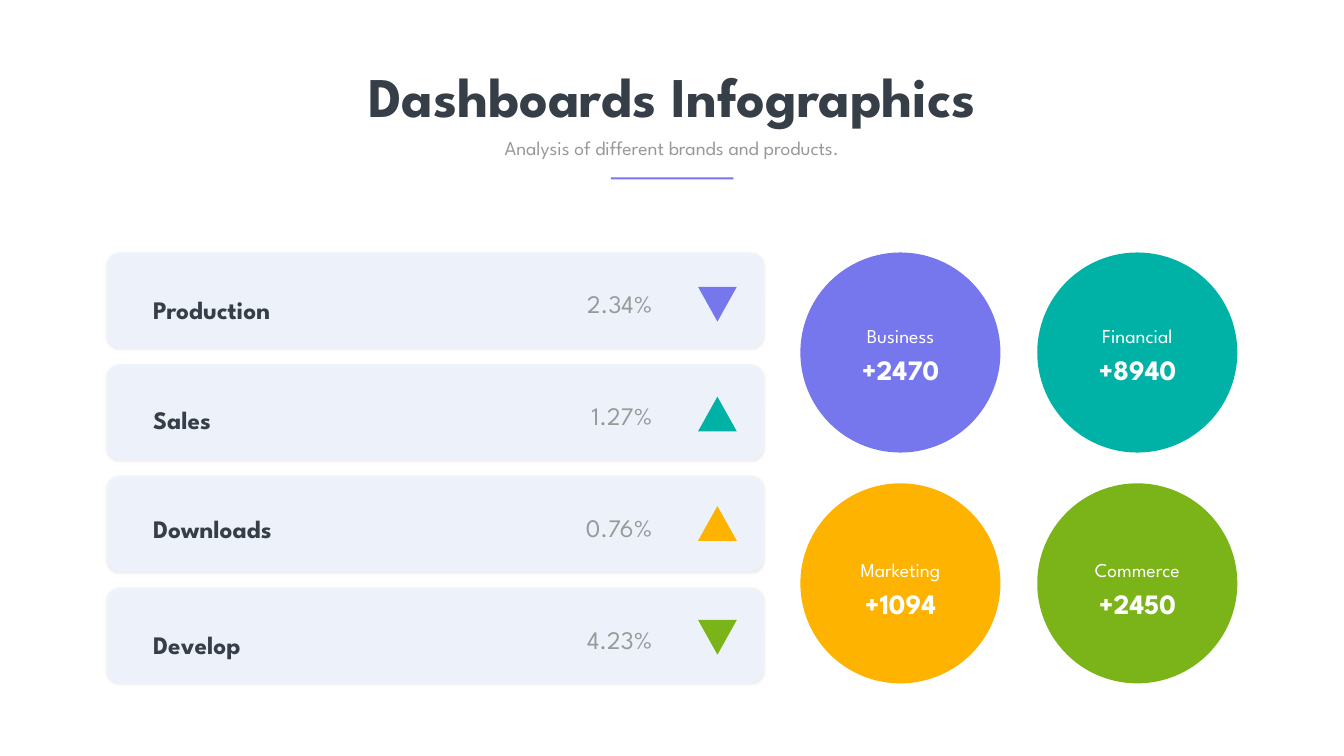
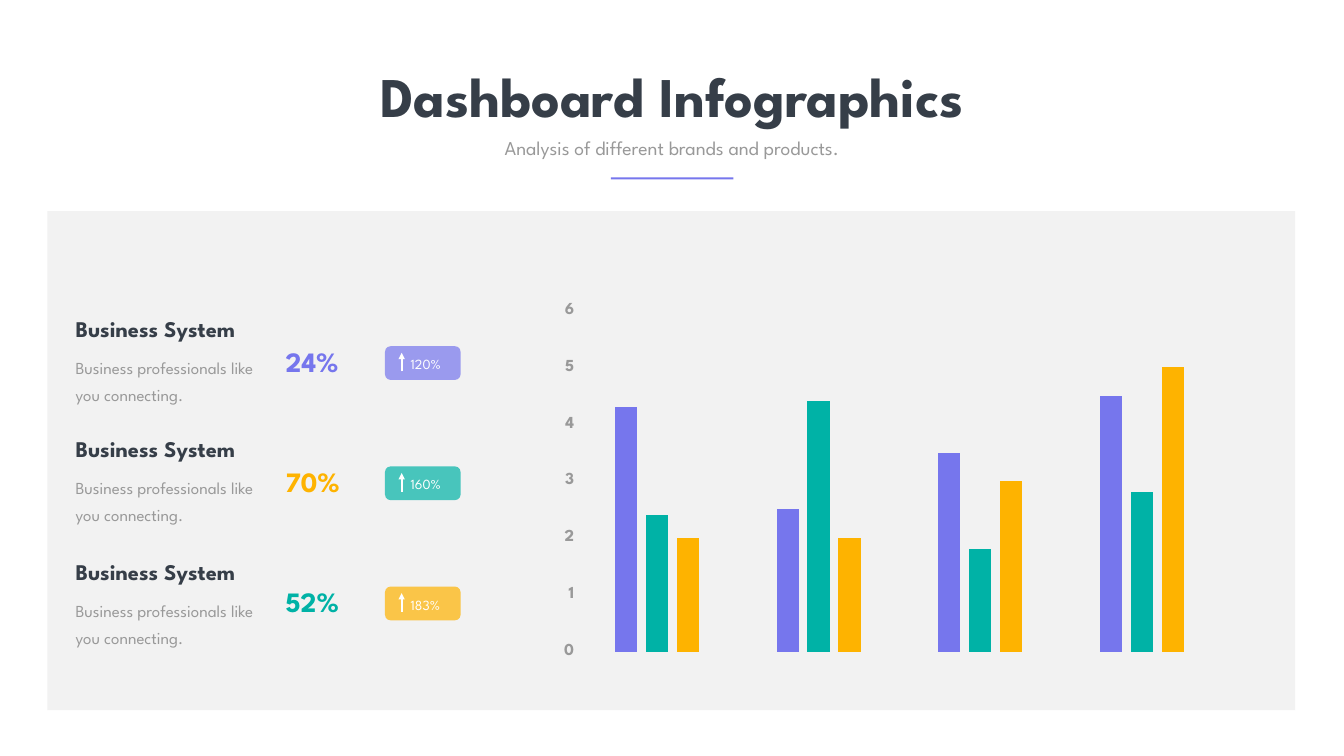
"""Build two dashboard infographic slides: a metric list with circles, and a column chart panel."""
from lxml import etree
from pptx import Presentation
from pptx.chart.data import CategoryChartData
from pptx.dml.color import RGBColor
from pptx.enum import chart as ch, dml, shapes, text
from pptx.oxml import parse_xml
from pptx.oxml.ns import qn, nsdecls
from pptx.util import Pt

FONT = "League Spartan"
DARK, GREY, WHITE = "363E48", "999999", "FFFFFF"
VIOLET, TEAL, AMBER, GREEN = "7676ED", "00B2A6", "FEB300", "7AB418"
CARD, PANEL = "EEF4FF", "F2F2F2"
LEFT, CENTER, RIGHT = text.PP_ALIGN.LEFT, text.PP_ALIGN.CENTER, text.PP_ALIGN.RIGHT
SHAPE = shapes.MSO_SHAPE

SUBTITLE = "Analysis of different brands and products."

# name, change, triangle colour, rotation, name top, triangle top
METRICS = [
    ("Production", "2.34%", VIOLET, 180, 394.6, 409.7),
    ("Sales", "1.27%", TEAL, 0, 553, 566.6),
    ("Downloads", "0.76%", AMBER, 0, 708.5, 722.9),
    ("Develop", "4.23%", GREEN, 180, 874, 885.6),
]
CIRCLES = [
    [("Business", "+2470", VIOLET), ("Financial", "+8940", TEAL)],
    [("Marketing", "+1094", AMBER), ("Commerce", "+2450", GREEN)],
]

SYSTEM_NAME = "Business System"
SYSTEM_NOTE = "Business professionals like you connecting."
# share, share colour, growth, badge colour, heading top
SYSTEMS = [
    ("24%", VIOLET, "120%", VIOLET, 447.1),
    ("70%", AMBER, "160%", TEAL, 617.8),
    ("52%", TEAL, "183%", AMBER, 794.2),
]
CATEGORIES = ["1", "2", "3", "4"]
SERIES = [
    ("Series 1", (4.3, 2.5, 3.5, 4.5), VIOLET),
    ("Series 2", (2.4, 4.4, 1.8, 2.8), TEAL),
    ("Series 3", (2, 2, 3, 5), AMBER),
]
PLOT_AREA = {"x": 0.071, "y": 0.149, "w": 0.882, "h": 0.673}


def rgb(color):
    """Turn a hex string into a colour."""
    return RGBColor.from_string(color)


def style_font(font, size, color, bold=False, name=FONT):
    """Set the face, size, colour and weight of a font."""
    font.name, font.size, font.bold = name, Pt(size), bold
    font.color.rgb = rgb(color)


def add_text(slide, box, words, size, color, bold=False, align=LEFT, spacing=None, wrap=True):
    """Add a one-run text box that grows with its text."""
    frame = slide.shapes.add_textbox(*map(Pt, box)).text_frame
    frame.word_wrap = wrap
    frame.auto_size = text.MSO_AUTO_SIZE.SHAPE_TO_FIT_TEXT
    paragraph = frame.paragraphs[0]
    paragraph.alignment = align
    if spacing:
        paragraph.line_spacing = spacing
    run = paragraph.add_run()
    run.text = words
    style_font(run.font, size, color, bold)


def add_block(slide, kind, box, color, opacity=100):
    """Add a filled shape without outline or shadow."""
    block = slide.shapes.add_shape(kind, *map(Pt, box))
    block.shadow.inherit = False
    block.fill.solid()
    block.fill.fore_color.rgb = rgb(color)
    block.line.fill.background()
    if opacity < 100:
        fill_color = block._element.spPr.find(".//" + qn("a:srgbClr"))
        etree.SubElement(fill_color, qn("a:alpha"), val=str(opacity * 1000))
    return block


def add_soft_shadow(block):
    """Give a shape a faint shadow below it."""
    block._element.spPr.find(qn("a:effectLst")).append(parse_xml(
        f'<a:outerShdw {nsdecls("a")} blurRad="{Pt(4)}" dist="{Pt(1)}" dir="5400000" algn="ctr" '
        'rotWithShape="0"><a:srgbClr val="000104"><a:alpha val="10000"/></a:srgbClr></a:outerShdw>'))


def add_up_arrow(slide, x, bottom, top):
    """Add a white arrow that points up."""
    arrow = slide.shapes.add_connector(shapes.MSO_CONNECTOR.STRAIGHT, *map(Pt, (x, bottom, x, top)))
    arrow.line.color.rgb = rgb(WHITE)
    arrow.line.width = Pt(3)
    etree.SubElement(arrow.line._get_or_add_ln(), qn("a:tailEnd"), type="triangle")
    etree.SubElement(arrow._element.spPr, qn("a:effectLst"))


def add_header(slide, title):
    """Add the title, subtitle and accent rule."""
    add_text(slide, (464, 84.2, 992, 104.4), title, 80, DARK, True, CENTER, wrap=False)
    add_text(slide, (615.6, 190.8, 688.3, 41), SUBTITLE, 28, GREY, align=CENTER)
    add_block(slide, SHAPE.RECTANGLE, (872.6, 253.4, 175, 3), VIOLET)


def add_metric_list(slide):
    """Add one card per metric with its change and direction."""
    for row, (name, change, color, rotation, name_top, triangle_top) in enumerate(METRICS):
        card_top = 360.7 + row * 159.6
        card = add_block(slide, SHAPE.ROUNDED_RECTANGLE, (152.6, card_top, 938.2, 136.8), CARD, 80)
        card.adjustments[0] = 0.146
        add_soft_shadow(card)
        add_text(slide, (632.2, card_top + 48.2, 306.7, 51), change, 36, GREY, align=RIGHT)
        triangle = add_block(slide, SHAPE.ISOSCELES_TRIANGLE, (997.2, triangle_top, 55.4, 49.7), color)
        triangle.rotation = rotation
        add_text(slide, (211.7, name_top, 259.2, 64), name, 36, DARK, True, spacing=1.5)


def add_circles(slide):
    """Add the grid of circles with a label and a value in each."""
    for row, circles in enumerate(CIRCLES):
        for column, (label, value, color) in enumerate(circles):
            left, label_top = 1143.4 + column * 338.4, 452.2 + row * 334.5
            add_block(slide, SHAPE.OVAL, (left, 360.7 + row * 329.8, 285.8, 285.8), color)
            add_text(slide, (left + 59, label_top, 168, 44.6), label, 28, WHITE,
                     align=CENTER, spacing=Pt(40.8))
            add_text(slide, (left + 59, label_top + 47.4, 168, 55.4), value, 40, WHITE, True, CENTER)


def add_systems(slide):
    """Add the rows with heading, note, share and growth badge."""
    for row, (share, share_color, growth, badge_color, heading_top) in enumerate(SYSTEMS):
        badge_top = 494.6 + row * 171.7
        add_text(slide, (100.8, heading_top, 261.4, 46), SYSTEM_NAME, 32, DARK, True)
        add_text(slide, (100.8, heading_top + 50.7, 280, 85), SYSTEM_NOTE, 24, GREY, spacing=Pt(38.6))
        add_text(slide, (401, badge_top - 6, 108, 55.4), share, 40, share_color, True)
        add_block(slide, SHAPE.ROUNDED_RECTANGLE, (550, badge_top, 108, 48.2), badge_color, 70)
        add_text(slide, (579.6, badge_top + 10, 69, 31.7), growth, 20, WHITE)
        add_up_arrow(slide, 573.8, badge_top + 36, badge_top + 9.4)


def add_columns(slide):
    """Add the clustered column chart."""
    data = CategoryChartData()
    data.categories = CATEGORIES
    for name, values, _ in SERIES:
        data.add_series(name, values)
    chart = slide.shapes.add_chart(ch.XL_CHART_TYPE.COLUMN_CLUSTERED,
                                   *map(Pt, (748.8, 335.5, 1046.9, 724.3)), data).chart
    chart.has_legend = chart.has_title = False
    style_font(chart.font, 24, GREY, name="Lato")
    chart.category_axis.visible = False

    axis = chart.value_axis
    axis.minimum_scale, axis.maximum_scale, axis.major_unit = 0, 6, 1
    axis.major_tick_mark = axis.minor_tick_mark = ch.XL_TICK_MARK.NONE
    axis.format.line.fill.background()
    style_font(axis.tick_labels.font, 24, GREY, True)
    grid = axis.major_gridlines.format.line
    grid.color.rgb = rgb(PANEL)
    grid.width = Pt(0.75)
    grid.dash_style = dml.MSO_LINE.LONG_DASH

    plot = chart.plots[0]
    plot.gap_width, plot.overlap, plot.vary_by_categories = 350, -40, False
    for series, (_, _, color) in zip(plot.series, SERIES):
        series.format.fill.solid()
        series.format.fill.fore_color.rgb = rgb(color)

    plot_area = chart._chartSpace.find(".//" + qn("c:plotArea"))
    for old_layout in plot_area.findall(qn("c:layout")):
        plot_area.remove(old_layout)
    settings = [("layoutTarget", "inner"), ("xMode", "edge"), ("yMode", "edge"), *PLOT_AREA.items()]
    parts = "".join(f'<c:{tag} val="{value}"/>' for tag, value in settings)
    plot_area.insert(0, parse_xml(
        f'<c:layout {nsdecls("c")}><c:manualLayout>{parts}</c:manualLayout></c:layout>'))


def main():
    """Build both slides and save them."""
    deck = Presentation()
    deck.slide_width, deck.slide_height = Pt(1920), Pt(1080)
    blank = deck.slide_layouts[6]

    metrics_slide = deck.slides.add_slide(blank)
    add_header(metrics_slide, "Dashboards Infographics")
    add_circles(metrics_slide)
    add_metric_list(metrics_slide)

    chart_slide = deck.slides.add_slide(blank)
    add_block(chart_slide, SHAPE.RECTANGLE, (67.7, 301.7, 1782.7, 712.8), PANEL)
    add_columns(chart_slide)
    add_systems(chart_slide)
    add_header(chart_slide, "Dashboard Infographics")

    deck.save("out.pptx")


if __name__ == "__main__":
    main()
